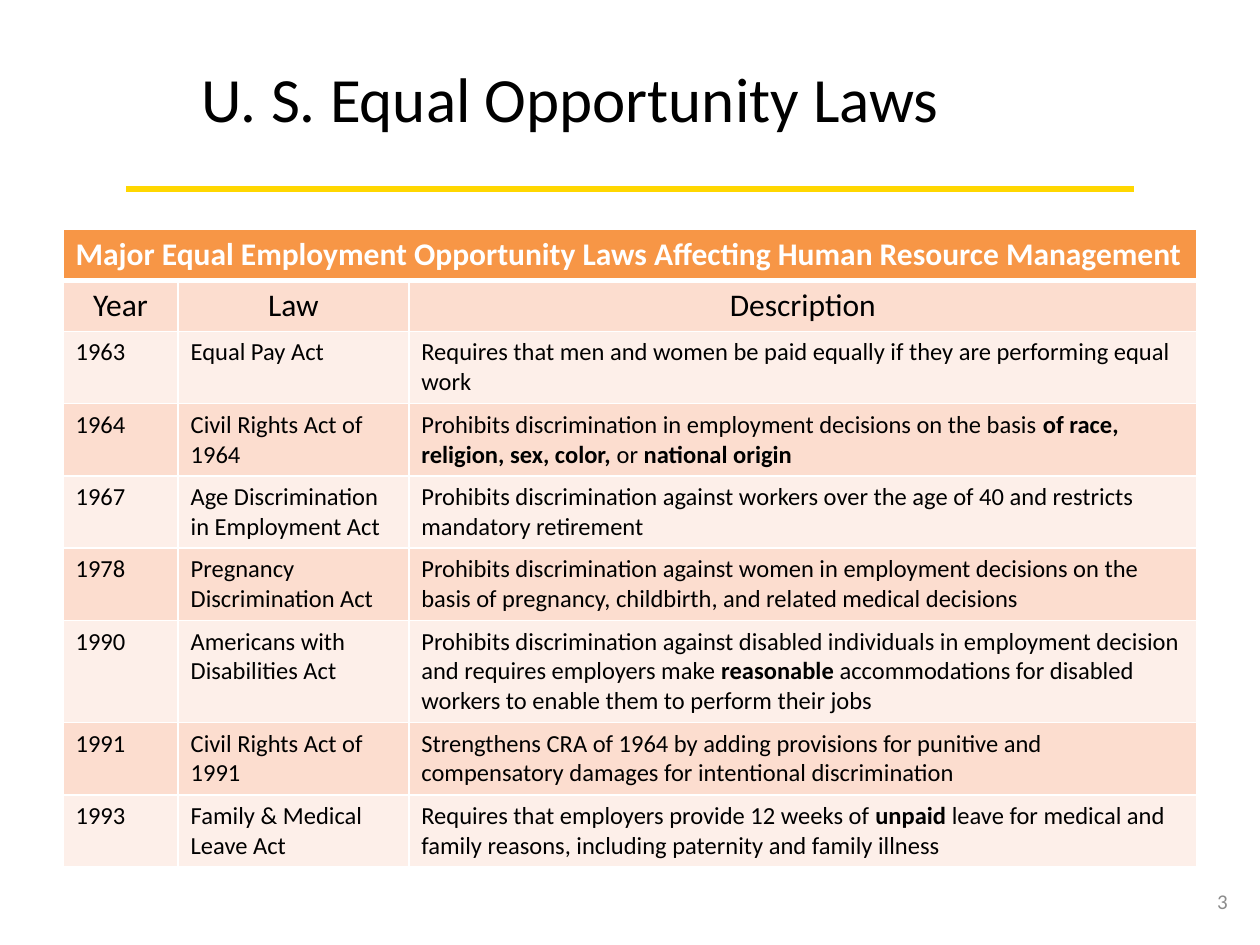
from lxml import etree
from pptx import Presentation
from pptx.dml.color import RGBColor
from pptx.enum.shapes import MSO_CONNECTOR
from pptx.enum.text import MSO_ANCHOR, MSO_AUTO_SIZE, PP_ALIGN
from pptx.oxml.ns import qn
from pptx.util import Cm, Pt

STRAIGHT = MSO_CONNECTOR.STRAIGHT
LEFT, CENTER, RIGHT = PP_ALIGN.LEFT, PP_ALIGN.CENTER, PP_ALIGN.RIGHT
TOP, MIDDLE = MSO_ANCHOR.TOP, MSO_ANCHOR.MIDDLE
FONT = "Calibri"
BLACK, WHITE, GRAY, GOLD = "000000", "FFFFFF", "8C8C8C", "FFD700"
ORANGE, BANDS = "F79646", ("FCDDCF", "FDEFE9")

HEADING = "Major Equal Employment Opportunity Laws Affecting Human Resource Management"
COLUMNS = ("Year", "Law", "Description")
# Double asterisks enclose bold words
LAWS = [
    ("1963", "Equal Pay Act",
     "Requires that men and women be paid equally if they are performing equal work"),
    ("1964", "Civil Rights Act of 1964",
     "Prohibits discrimination in employment decisions on the basis "
     "**of race, religion, sex, color,** or **national origin**"),
    ("1967", "Age Discrimination in Employment Act",
     "Prohibits discrimination against workers over the age of 40 "
     "and restricts mandatory retirement"),
    ("1978", "Pregnancy Discrimination Act",
     "Prohibits discrimination against women in employment decisions on the basis "
     "of pregnancy, childbirth, and related medical decisions"),
    ("1990", "Americans with Disabilities Act",
     "Prohibits discrimination against disabled individuals in employment decision "
     "and requires employers make **reasonable** accommodations for disabled "
     "workers to enable them to perform their jobs"),
    ("1991", "Civil Rights Act of 1991",
     "Strengthens CRA of 1964 by adding provisions for punitive and "
     "compensatory damages for intentional discrimination"),
    ("1993", "Family & Medical Leave Act",
     "Requires that employers provide 12 weeks of **unpaid** leave for medical "
     "and family reasons, including paternity and family illness"),
]


def rgb(color):
    return RGBColor.from_string(color)


def write(frame, text, size, color, align=LEFT, bold=False):
    paragraph = frame.paragraphs[0]
    paragraph.alignment = align
    for index, part in enumerate(text.split("**")):
        if part:
            run = paragraph.add_run()
            run.text = part
            run.font.name, run.font.size = FONT, Pt(size)
            run.font.bold = bold or index % 2 == 1
            run.font.color.rgb = rgb(color)


def set_borders(cell, bottom_width):
    properties = cell._tc.get_or_add_tcPr()
    widths = {"a:lnL": 1, "a:lnR": 1, "a:lnT": 1, "a:lnB": bottom_width}
    for position, (side, width) in enumerate(widths.items()):
        line = etree.Element(qn(side), w=str(Pt(width)))
        fill = etree.SubElement(line, qn("a:solidFill"))
        etree.SubElement(fill, qn("a:srgbClr"), val=WHITE)
        properties.insert(position, line)


def add_header(slide, left, top, width, height):
    # Title
    title = slide.shapes.title
    title.left, title.top = left + Cm(1.27), top
    title.width, title.height = Cm(15.52), Cm(1.8)
    frame = title.text_frame
    frame.word_wrap = False
    frame.auto_size = MSO_AUTO_SIZE.NONE
    frame.vertical_anchor = TOP
    write(frame, "U. S. Equal Opportunity Laws", 36, BLACK)

    # Gold rule
    bottom = top + height
    rule = slide.shapes.add_connector(STRAIGHT, left, bottom, left + width, bottom)
    rule.line.color.rgb = rgb(GOLD)
    rule.line.width = Pt(4)
    etree.SubElement(rule._element.spPr, qn("a:effectLst"))


def add_law_table(slide, left, top, width, row_height):
    rows = [(HEADING, "", ""), COLUMNS, *LAWS]
    table = slide.shapes.add_table(
        len(rows), len(COLUMNS), left, top, width, row_height * len(rows)).table
    year_width, law_width = Cm(2.32), Cm(4.65)
    column_widths = (year_width, law_width, width - year_width - law_width)
    for column, column_width in zip(table.columns, column_widths):
        column.width = column_width
    table.cell(0, 0).merge(table.cell(0, len(COLUMNS) - 1))

    for row_index, texts in enumerate(rows):
        heading = row_index == 0
        size = 18 if row_index < 2 else 14
        align = CENTER if row_index == 1 else LEFT
        for column_index, text in enumerate(texts):
            cell = table.cell(row_index, column_index)
            cell.fill.solid()
            cell.fill.fore_color.rgb = rgb(ORANGE if heading else BANDS[(row_index - 1) % 2])
            set_borders(cell, 3 if heading else 1)
            write(cell.text_frame, text, size, WHITE if heading else BLACK, align, heading)


def add_page_number(slide, left, top, width, height):
    frame = slide.shapes.add_textbox(left, top, width, height).text_frame
    frame.word_wrap = True
    frame.vertical_anchor = MIDDLE
    write(frame, "3", 12, GRAY, RIGHT)


presentation = Presentation()
presentation.slide_width, presentation.slide_height = Cm(25.4), Cm(19.05)
slide = presentation.slides.add_slide(presentation.slide_layouts[5])
add_header(slide, Cm(2.54), Cm(1.07), Cm(20.32), Cm(2.74))
add_law_table(slide, Cm(1.27), Cm(4.62), Cm(22.86), Cm(1.03))
add_page_number(slide, Cm(23.93), Cm(17.65), Cm(1.07), Cm(1.02))
presentation.save("out.pptx")
